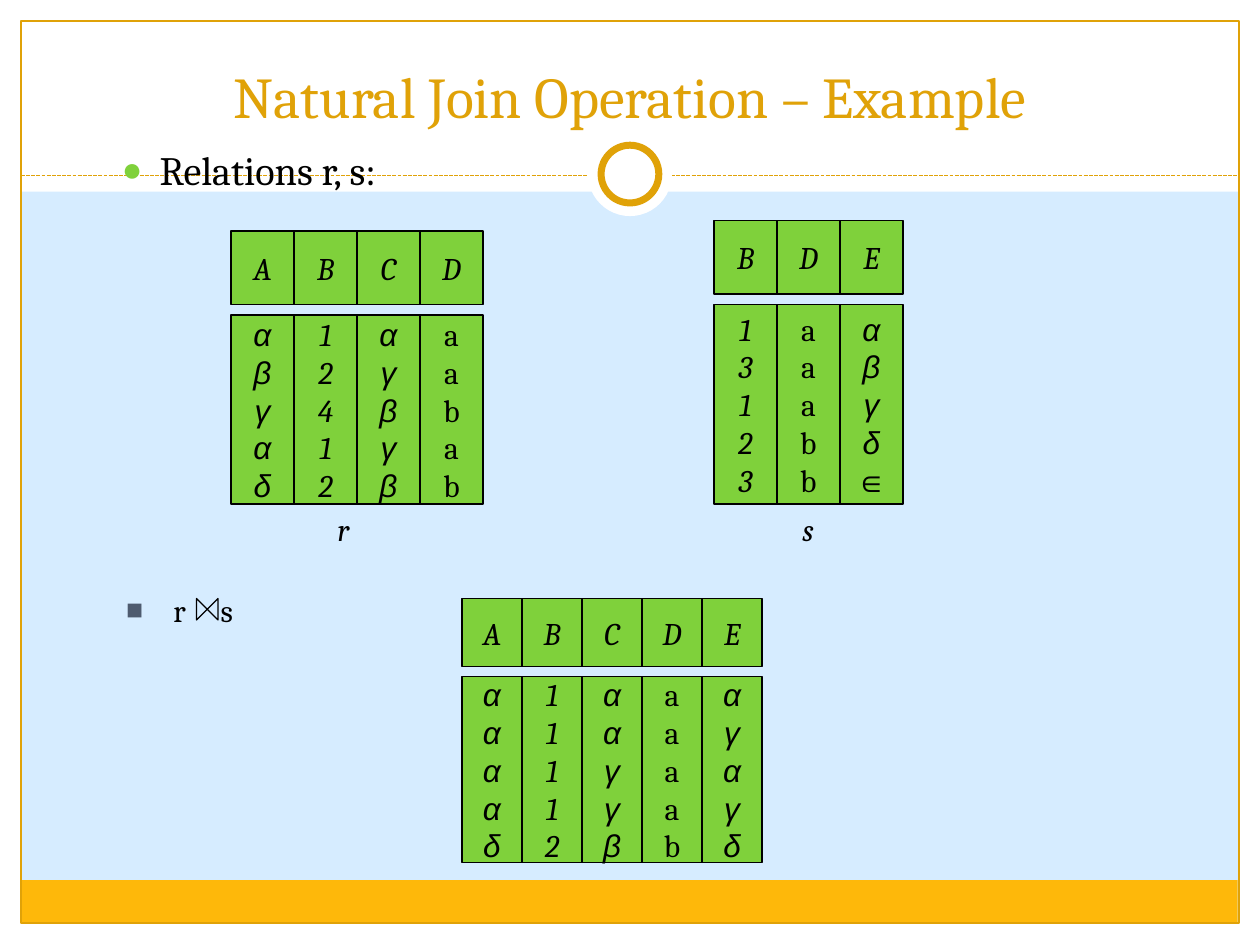
from pptx import Presentation
from pptx.dml.color import RGBColor
from pptx.enum.dml import MSO_LINE as Dash
from pptx.enum.shapes import MSO_CONNECTOR as Conn, MSO_SHAPE as Geo
from pptx.enum.text import MSO_ANCHOR as Anchor, MSO_AUTO_SIZE as Auto, PP_ALIGN as Align
from pptx.oxml.ns import qn
from pptx.util import Pt
from lxml.etree import SubElement as sub

GOLD, GREEN, WHITE, BLACK = "E0A208", "7FD13B", "FFFFFF", "000000"
SERIF, SANS = "Cambria", "Arial"


def paint(fmt, color):
    """Give a fill, or the fill of a line, one solid colour."""
    fmt.solid()
    fmt.fore_color.rgb = RGBColor.from_string(color)


def style(obj, vals):
    for name, val in vals.items():
        setattr(obj, name, val)


def shape(slide, geo, box, fill=None, line=None, width=0.75):
    item = slide.shapes.add_shape(geo, *map(Pt, box))
    item.shadow.inherit = False
    if fill:
        paint(item.fill, fill)
    else:
        item.fill.background()
    if line:
        paint(item.line.fill, line)
        item.line.width = Pt(width)
    else:
        item.line.fill.background()
    return item


def write(item, lines, size, color=BLACK, font=SERIF, italic=False,
          align=Align.CENTER, **frame):
    """Fill a shape with one paragraph per line."""
    text = item.text_frame
    style(text, {"word_wrap": True, **frame})
    text.text = "\n".join(lines)
    for para in text.paragraphs:
        para.alignment = align
        for run in para.runs:
            style(run.font, {"size": Pt(size), "name": font, "italic": italic})
            run.font.color.rgb = RGBColor.from_string(color)
    return text


def label(slide, box, text, size, **opts):
    item = slide.shapes.add_textbox(*map(Pt, box))
    return write(item, [text], size, **opts)


def bullet(para, char, color, scale, indent):
    """Hang a coloured bullet in front of a paragraph."""
    props = para._p.get_or_add_pPr()
    props.set("marL", str(Pt(indent)))
    props.set("indent", str(-Pt(indent)))
    tint = sub(props, qn("a:buClr"))
    sub(tint, qn("a:srgbClr"), val=color)
    sub(props, qn("a:buSzPct"), val=str(scale * 1000))
    sub(props, qn("a:buFont"), typeface=SANS)
    sub(props, qn("a:buChar"), char=char)


def grid(slide, left, top, width, head, gap, body, cols):
    """Draw a relation: a row of names above one tall cell per column."""
    for num, (name, vals) in enumerate(cols):
        x = left + num * width
        greek = vals[0] in "αβγδ"
        cells = [
            (top, head, name, SERIF, True),
            (top + head + gap, body, vals, SANS if greek else SERIF,
             vals[0] not in "ab"),
        ]
        for y, high, lines, font, italic in cells:
            cell = shape(slide, Geo.RECTANGLE, (x, y, width, high), GREEN, BLACK)
            write(cell, lines, 18, font=font, italic=italic,
                  word_wrap=False, vertical_anchor=Anchor.MIDDLE)


def frame(slide):
    """Draw the white margins, the gold border and the ring."""
    for box in [(0, 528, 720, 12), (0, 0, 720, 109.5),
                (0, 0, 12, 540), (708, 0, 12, 540)]:
        shape(slide, Geo.RECTANGLE, box, WHITE)
    shape(slide, Geo.RECTANGLE, (11.75, 503, 695.5, 24.5), "FEB80A")
    shape(slide, Geo.RECTANGLE, (12, 12, 696, 515.5), line=GOLD)

    rule = slide.shapes.add_connector(
        Conn.STRAIGHT, Pt(12), Pt(100.5), Pt(708), Pt(100.5))
    paint(rule.line.fill, GOLD)
    style(rule.line, {"width": Pt(0.75), "dash_style": Dash.SQUARE_DOT})
    sub(rule._element.spPr, qn("a:effectLst"))

    shape(slide, Geo.OVAL, (336, 75.5, 48, 48), WHITE)
    shape(slide, Geo.OVAL, (343.5, 83, 33, 33), WHITE, GOLD, 4)


def main():
    prs = Presentation()
    style(prs, {"slide_width": Pt(720), "slide_height": Pt(540)})
    slide = prs.slides.add_slide(prs.slide_layouts[6])
    paint(slide.background.fill, "D6ECFF")
    frame(slide)

    # Title and first bullet
    label(slide, (24, 18, 672, 60), "Natural Join Operation – Example", 33,
          color=GOLD, vertical_anchor=Anchor.BOTTOM)
    text = label(slide, (62.5, 85, 538.5, 30), "Relations r, s:", 23,
                 align=Align.LEFT)
    text.paragraphs[0].line_spacing = 0.8
    bullet(text.paragraphs[0], "●", GREEN, 85, 21.6)

    # Relations r and s, and their join
    grid(slide, 132, 132, 36, 42, 6, 108, [
        ("A", "αβγαδ"), ("B", "12412"), ("C", "αγβγβ"), ("D", "aabab")])
    grid(slide, 408, 126, 36, 42, 6, 114, [
        ("B", "13123"), ("D", "aaabb"), ("E", "αβγδ∈")])
    grid(slide, 264, 342, 34.3, 39, 5.6, 106.5, [
        ("A", "ααααδ"), ("B", "11112"), ("C", "ααγγβ"),
        ("D", "aaaab"), ("E", "αγαγδ")])
    for x, name in [(185, "r"), (450.5, "s")]:
        label(slide, (x, 288, 22.5, 29), name, 18, italic=True,
              word_wrap=False, vertical_anchor=Anchor.MIDDLE,
              auto_size=Auto.SHAPE_TO_FIT_TEXT)

    # Join expression: a widened space leaves room for the bowtie
    text = label(slide, (65, 334, 553.5, 32.5), "r", 18, align=Align.LEFT)
    para = text.paragraphs[0]
    bullet(para, "■", "4E5B6F", 90, 27)
    for part in " s":
        run = para.add_run()
        run.text = part
        style(run.font, {"size": Pt(18), "name": SERIF})
        run.font.color.rgb = RGBColor.from_string(BLACK)
    para.runs[1].font._element.set("spc", "1600")
    bow = shape(slide, Geo.FLOWCHART_COLLATE, (112.3, 342, 12.24, 12.24),
                line=BLACK)
    bow.rotation = 270

    prs.save("out.pptx")


if __name__ == "__main__":
    main()
